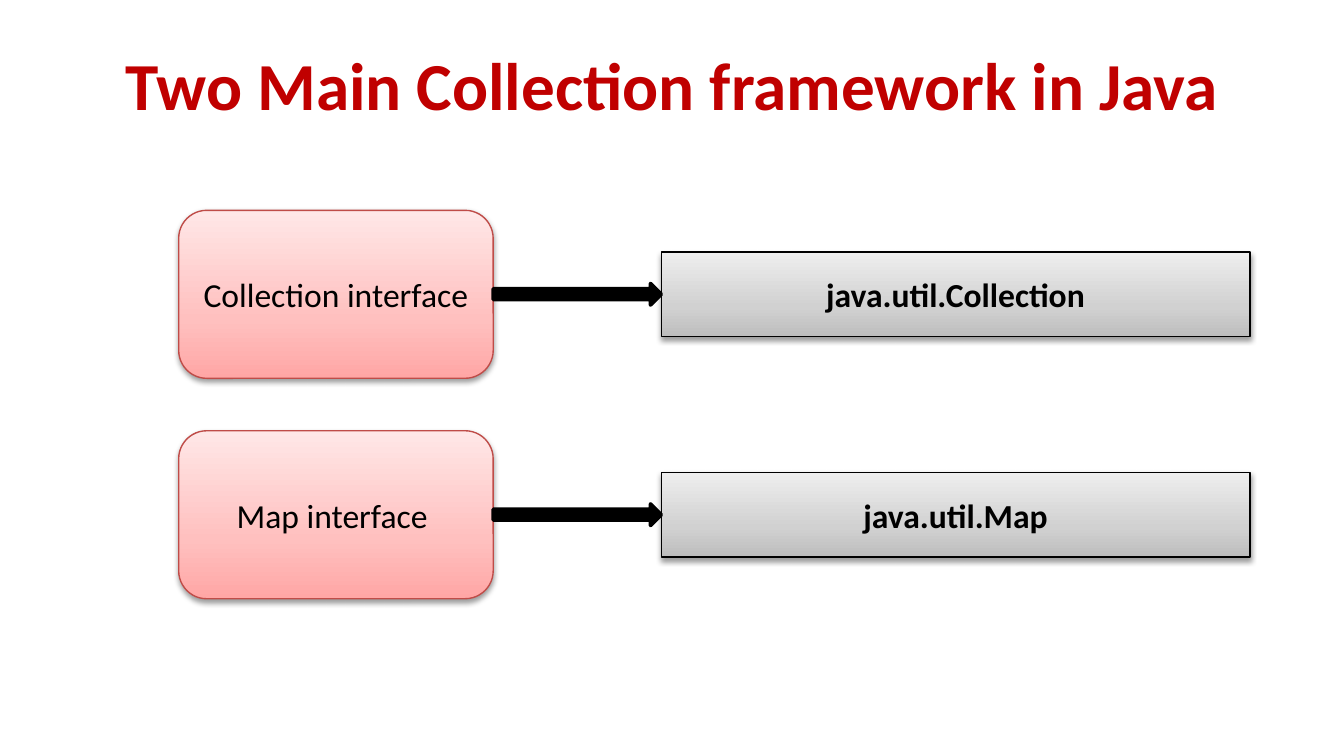
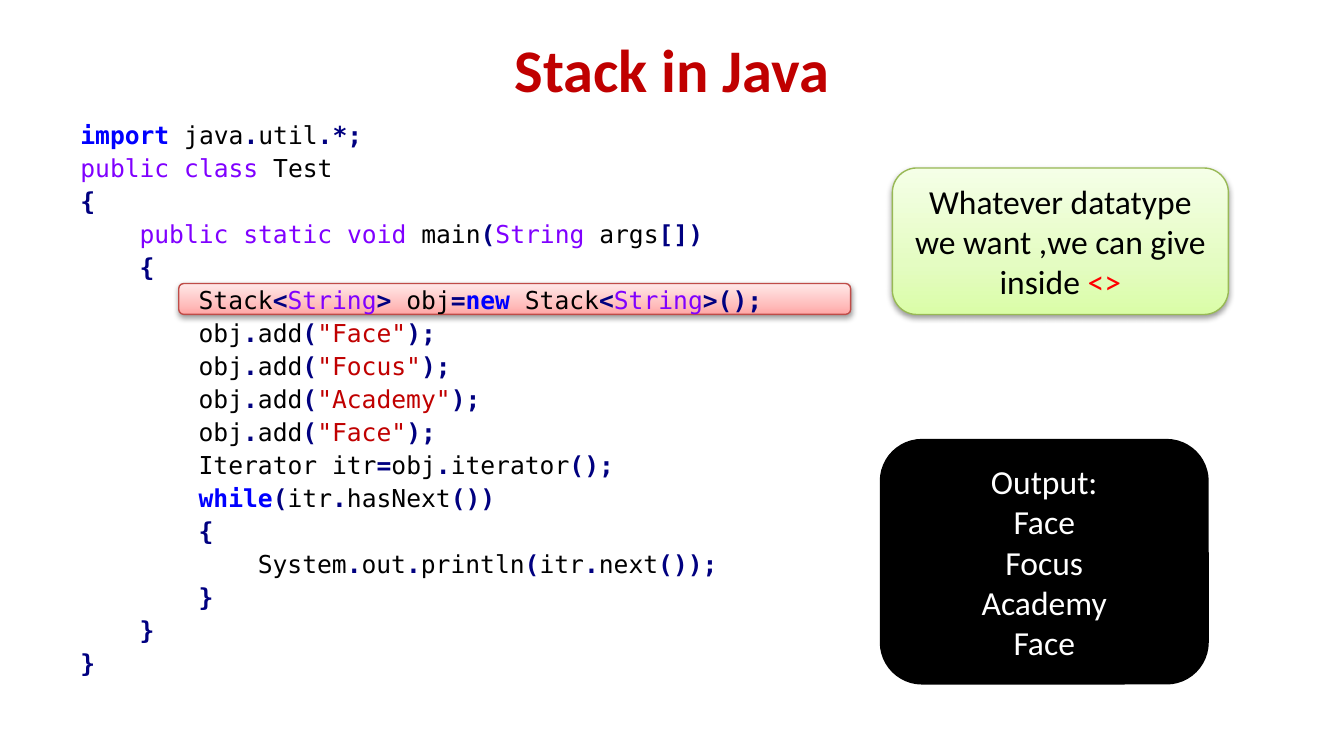
from itertools import groupby

from lxml import etree
from pptx import Presentation
from pptx.dml.color import RGBColor
from pptx.enum.shapes import MSO_SHAPE
from pptx.enum.text import MSO_ANCHOR, MSO_AUTO_SIZE, PP_ALIGN
from pptx.oxml import parse_xml
from pptx.util import Inches, Pt

ROUNDED, RECTANGLE, ARROW = MSO_SHAPE.ROUNDED_RECTANGLE, MSO_SHAPE.RECTANGLE, MSO_SHAPE.RIGHT_ARROW
LEFT, CENTER = PP_ALIGN.LEFT, PP_ALIGN.CENTER
TOP, MIDDLE = MSO_ANCHOR.TOP, MSO_ANCHOR.MIDDLE
NO_AUTOFIT = MSO_AUTO_SIZE.NONE
DRAWING = "http://schemas.openxmlformats.org/drawingml/2006/main"

THEME = {
    "font": "Calibri",
    "code_font": "DejaVu Sans Mono",
    "body_size": 18,
    "code_size": 13.2,
    "title": "C00000",
    "black": "000000",
    "white": "FFFFFF",
    "accent": "FF0000",
    "word": ("000000", False),
    "symbol": ("000080", True),
    "statement": ("0000FF", True),
    "modifier": ("8000FF", False),
    "string": ("C00000", False),
    "red_box": (("FFA6A5", "FFC0BF", "FFE7E7"), "BF4C48"),
    "gray_box": (("BDBDBD", "D1D1D1", "EEEEEE"), "000000"),
    "green_box": (("DAFDA7", "E4FCC2", "F5FFE7"), "98B955"),
}


def write_text(shape, paragraphs, font=THEME["font"], size=THEME["body_size"], color=THEME["black"],
               bold=False, align=CENTER, anchor=MIDDLE, line_spacing=None, space_before=0):
    frame = shape.text_frame
    frame.word_wrap = True
    frame.auto_size = NO_AUTOFIT
    frame.vertical_anchor = anchor
    for index, runs in enumerate(paragraphs):
        paragraph = frame.paragraphs[0] if index == 0 else frame.add_paragraph()
        paragraph.alignment = align
        paragraph.line_spacing = line_spacing
        paragraph.space_before = Pt(space_before)
        if isinstance(runs, str):
            runs = [(runs, (color, bold))]
        for text, (run_color, run_bold) in runs:
            run = paragraph.add_run()
            run.text = text
            run.font.name = font
            run.font.size = Pt(size)
            run.font.bold = run_bold
            run.font.color.rgb = RGBColor.from_string(run_color)


def add_box(slide, kind, left, top, width, height, gradient=None):
    shape = slide.shapes.add_shape(kind, Inches(left), Inches(top), Inches(width), Inches(height))
    shape.shadow.inherit = False
    if gradient is None:
        shape.fill.solid()
        shape.fill.fore_color.rgb = RGBColor.from_string(THEME["black"])
        shape.line.color.rgb = RGBColor.from_string(THEME["black"])
        shape.line.width = Pt(2)
        return shape
    stops, line_color = gradient
    shape.line.color.rgb = RGBColor.from_string(line_color)
    shape.line.width = Pt(0.75)
    stop_xml = "".join(
        f'<a:gs pos="{position * 1000}"><a:srgbClr val="{color}"/></a:gs>'
        for position, color in zip((0, 35, 100), stops))
    properties = shape.element.spPr
    properties.find(f"{{{DRAWING}}}prstGeom").addnext(parse_xml(
        f'<a:gradFill xmlns:a="{DRAWING}" rotWithShape="1"><a:gsLst>{stop_xml}</a:gsLst>'
        '<a:lin ang="16200000" scaled="0"/></a:gradFill>'))
    shadow = etree.SubElement(
        properties.find(f"{{{DRAWING}}}effectLst"), f"{{{DRAWING}}}outerShdw",
        blurRad=str(Pt(3.1)), dist=str(Pt(1.6)), dir="5400000", rotWithShape="0")
    shadow_color = etree.SubElement(shadow, f"{{{DRAWING}}}srgbClr", val=THEME["black"])
    etree.SubElement(shadow_color, f"{{{DRAWING}}}alpha", val="38000")
    return shape


presentation = Presentation()
presentation.slide_width = Inches(10)
presentation.slide_height = Inches(10 * 9 / 16)

titles = [
    ("Two Main Collection framework in Java", 36, (0.69, 0.3, 8.62, 0.64)),
    ("Stack in Java", 32.4, (0.5, 0.23, 9, 0.56)),
]
slides = []
for text, size, place in titles:
    slide = presentation.slides.add_slide(presentation.slide_layouts[5])
    title = slide.shapes.title
    title.left, title.top, title.width, title.height = [Inches(length) for length in place]
    write_text(title, [text], size=size, color=THEME["title"], bold=True)
    slides.append(slide)
framework_slide, stack_slide = slides

interfaces = [("Collection interface ", "java.util.Collection"), ("Map interface ", "java.util.Map")]
for row, (interface, qualified_name) in enumerate(interfaces):
    middle = 2.19 + row * 1.64
    interface_box = add_box(framework_slide, ROUNDED, 1.33, middle - 1.25 / 2, 2.34, 1.25, THEME["red_box"])
    write_text(interface_box, [interface])
    name_box = add_box(framework_slide, RECTANGLE, 4.92, middle - 0.63 / 2, 4.38, 0.63, THEME["gray_box"])
    write_text(name_box, [qualified_name], bold=True)
    add_box(framework_slide, ARROW, 3.67, middle - 0.16 / 2, 1.25, 0.16)

add_box(stack_slide, ROUNDED, 1.33, 2.11, 5, 0.23, THEME["red_box"])

code_lines = [
    (0, 'import java.util.*;'),
    (0, 'public class Test'),
    (0, '{'),
    (1, 'public static void main(String args[])'),
    (1, '{'),
    (2, 'Stack<String> obj=new Stack<String>();'),
    (2, 'obj.add("Face");'),
    (2, 'obj.add("Focus");'),
    (2, 'obj.add("Academy");'),
    (2, 'obj.add("Face");'),
    (2, 'Iterator itr=obj.iterator();'),
    (2, 'while(itr.hasNext())'),
    (2, '{'),
    (3, 'System.out.println(itr.next());'),
    (2, '}'),
    (1, '}'),
    (0, '}'),
]
word_styles = dict.fromkeys(("import", "new", "while"), THEME["statement"])
word_styles.update(dict.fromkeys(("public", "class", "static", "void", "String"), THEME["modifier"]))

code_paragraphs = []
for level, line in code_lines:
    runs = []
    for index, piece in enumerate(line.split('"')):
        if index % 2:
            runs.append((f'"{piece}"', THEME["string"]))
            continue
        for (is_word, is_space), characters in groupby(piece, lambda c: (c.isalnum(), c.isspace())):
            token = "".join(characters)
            style = word_styles.get(token, THEME["word"]) if is_word or is_space else THEME["symbol"]
            runs.append((token, style))
    code_paragraphs.append(runs)

code_box = stack_slide.shapes.add_textbox(Inches(0.5), Inches(0.86), Inches(9), Inches(4.77))
write_text(code_box, code_paragraphs, font=THEME["code_font"], size=THEME["code_size"],
           align=LEFT, anchor=TOP, line_spacing=0.95, space_before=2.64)
for (level, line), paragraph in zip(code_lines, code_box.text_frame.paragraphs):
    properties = paragraph._p.get_or_add_pPr()
    properties.set("marL", str(Inches(0.38 + 0.44 * level)))
    properties.set("indent", str(Inches(-0.38)))

output_box = add_box(stack_slide, ROUNDED, 6.56, 3.28, 2.42, 1.8)
write_text(output_box, ["Output:", "Face", "Focus", "Academy", "Face"], color=THEME["white"])

hint_box = add_box(stack_slide, ROUNDED, 6.64, 1.25, 2.5, 1.09, THEME["green_box"])
write_text(hint_box, [[
    ("Whatever datatype we want ,we can give inside ", (THEME["black"], False)),
    ("<>", (THEME["accent"], False)),
]])

presentation.save("out.pptx")
